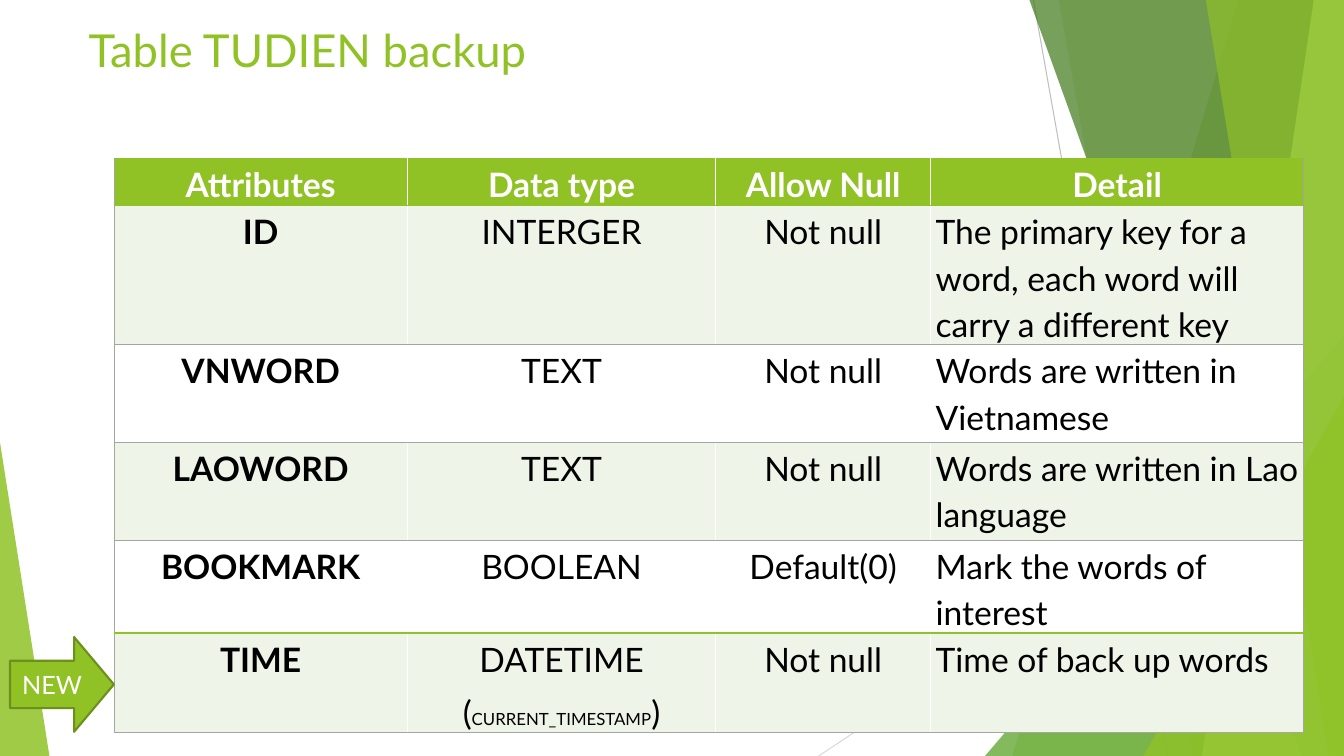
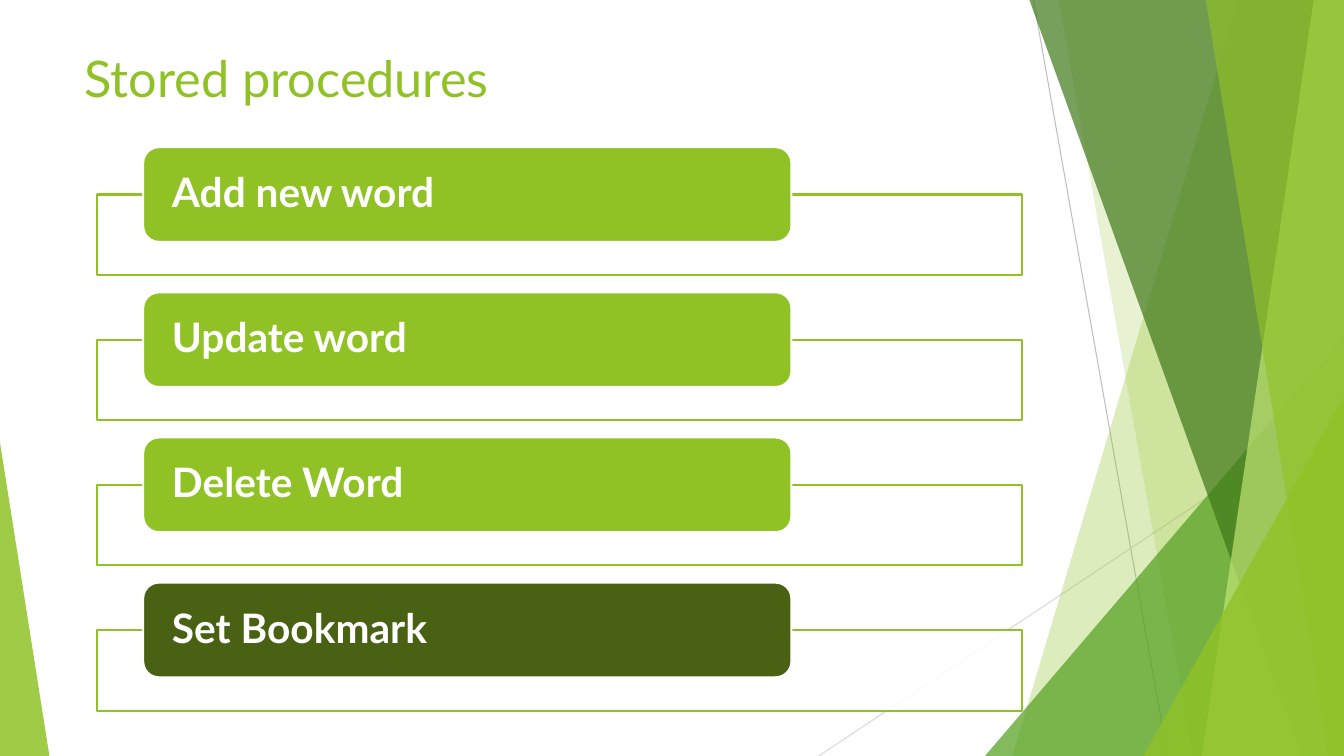
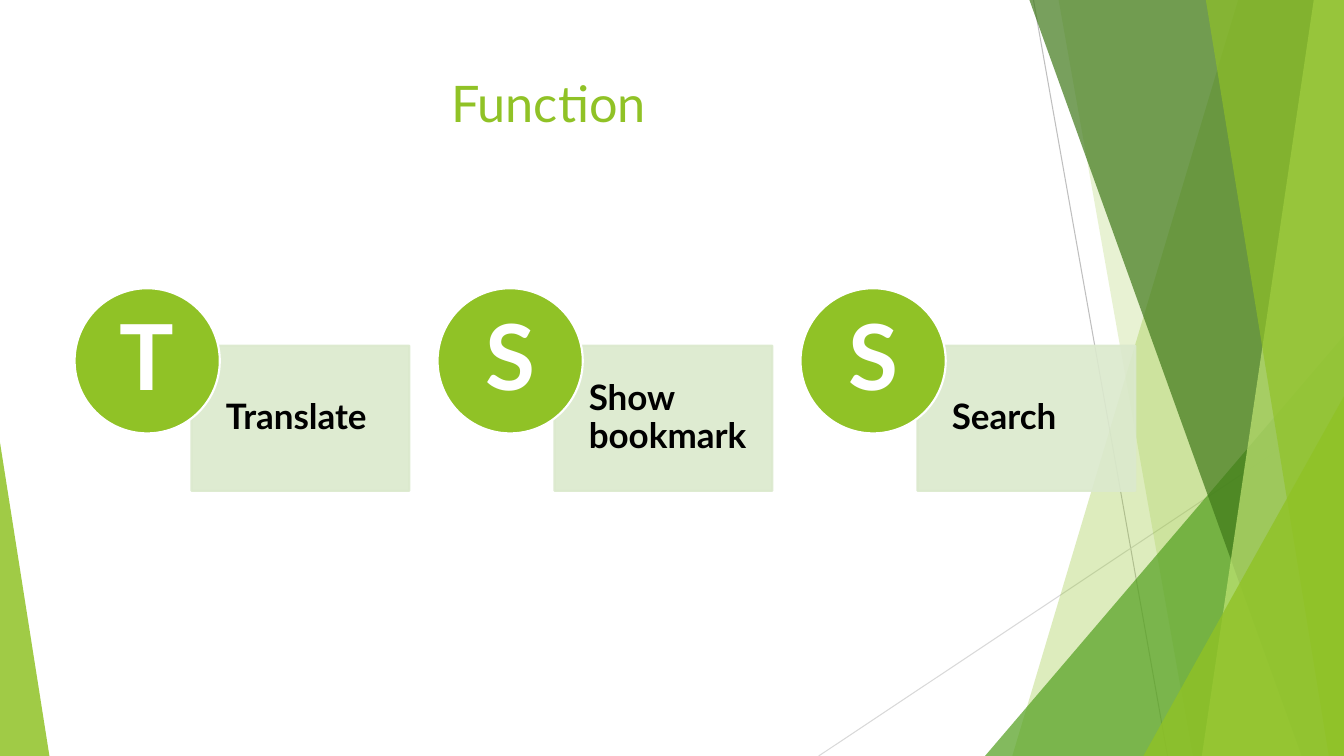
from lxml.etree import SubElement
from pptx import Presentation
from pptx.dml.color import RGBColor
from pptx.enum.shapes import MSO_CONNECTOR, MSO_SHAPE
from pptx.enum.text import MSO_ANCHOR, PP_ALIGN
from pptx.oxml.ns import qn
from pptx.util import Inches, Pt

FONT = "Lato"
GREEN, DARK_GREEN, OLIVE = "90C226", "6B901C", "486113"
WHITE, BLACK = "FFFFFF", "000000"
PALE_GREEN, ROW_TINT, ROW_RULE = "DBE9CD", "EEF4E8", "A3A89F"
WIDTH, HEIGHT = 13.33, 7.5

PANELS = [
    (12.28, 10.04, GREEN, 30),
    (10.5, 11.83, GREEN, 20),
    (10.21, 12.91, "3F7819", 70),
    (13.03, 11.92, "C0E474", 70),
    (11.96, 13.18, GREEN, 65),
]
ATTRIBUTES = [
    ("Attributes", "Data type", "Allow Null", "Detail"),
    ("ID", "INTERGER", "Not null",
     "The primary key for a word, each word will carry a different key"),
    ("VNWORD", "TEXT", "Not null", "Words are written in Vietnamese"),
    ("LAOWORD", "TEXT", "Not null", "Words are written in Lao language"),
    ("BOOKMARK", "BOOLEAN", "Default(0)", "Mark the words of interest"),
    ("TIME", "DATETIME", "Not null", "Time of back up words"),
]
COLUMN_WIDTHS = [2.91, 3.06, 2.13, 3.7]
ROW_HEIGHTS = [0.47, 1.37, 0.97, 0.97, 0.92, 0.98]
PROCEDURES = [("Add new word", GREEN), ("Update word", GREEN),
              ("Delete Word", GREEN), ("Set Bookmark", OLIVE)]
FUNCTIONS = ["Translate", "Show bookmark", "Search"]


def color(value):
    """Turn a hex string into a colour."""
    return RGBColor.from_string(value)


def set_opacity(shape, route, percent):
    """Make the colour found under the shape properties translucent."""
    if percent < 100:
        for node in shape.element.xpath(f"./p:spPr/{route}/a:srgbClr"):
            SubElement(node, qn("a:alpha"), val=str(percent * 1000))


def paint(shape, fill, opacity=100, line=None, line_opacity=100):
    """Give a shape its fill and outline, without a shadow."""
    shape.shadow.inherit = False
    shape.fill.solid()
    shape.fill.fore_color.rgb = color(fill)
    set_opacity(shape, "a:solidFill", opacity)
    if line is None:
        shape.line.fill.background()
        return
    shape.line.color.rgb = color(line)
    shape.line.width = Pt(1.5)
    set_opacity(shape, "a:ln/a:solidFill", line_opacity)


def add_preset(slide, kind, box, fill, **style):
    """Add a painted preset shape in a box of inches."""
    shape = slide.shapes.add_shape(kind, *map(Inches, box))
    paint(shape, fill, **style)
    return shape


def style_paragraph(paragraph, size, ink, bold=False, align=PP_ALIGN.LEFT, spacing=None):
    """Set the font and the alignment of a paragraph."""
    paragraph.alignment = align
    paragraph.line_spacing = spacing
    paragraph.font.name = FONT
    paragraph.font.size = Pt(size)
    paragraph.font.bold = bold
    paragraph.font.color.rgb = color(ink)


def write(shape, text, size, ink, insets=(0.1, 0.05, 0.1, 0.05),
          anchor=MSO_ANCHOR.MIDDLE, **style):
    """Write one wrapped paragraph into a shape."""
    frame = shape.text_frame
    frame.word_wrap = True
    frame.vertical_anchor = anchor
    (frame.margin_left, frame.margin_top,
     frame.margin_right, frame.margin_bottom) = map(Inches, insets)
    frame.text = text
    style_paragraph(frame.paragraphs[0], size, ink, **style)


def add_hairline(slide, start, end, ink):
    """Add a thin straight line between two points."""
    line = slide.shapes.add_connector(
        MSO_CONNECTOR.STRAIGHT, *map(Inches, (*start, *end)))
    line.line.color.rgb = color(ink)
    line.line.width = Pt(0.75)
    SubElement(line.element.spPr, qn("a:effectLst"))


def add_panel(slide, top_left, bottom_left, fill, opacity):
    """Add a full-height panel with a slanted left edge."""
    corners = [(top_left, 0), (WIDTH, 0), (WIDTH, HEIGHT), (bottom_left, HEIGHT)]
    points = [(Inches(x), Inches(y)) for x, y in corners]
    builder = slide.shapes.build_freeform(*points[0], scale=1.0)
    builder.add_line_segments(points[1:], close=True)
    paint(builder.convert_to_shape(), fill, opacity)


def add_wedge(slide, left, top, width, apex, fill, opacity):
    """Add a right triangle standing on the bottom edge."""
    box = (left, top, width, HEIGHT - top)
    wedge = add_preset(slide, MSO_SHAPE.ISOSCELES_TRIANGLE, box, fill, opacity=opacity)
    wedge.adjustments[0] = apex


def decorate_layout(layout, slide):
    """Draw the facets on an empty slide and move them to its layout."""
    for placeholder in list(layout.placeholders):
        layout.shapes.element.remove(placeholder.element)
    add_hairline(slide, (10.25, 0), (11.58, HEIGHT), "BFBFBF")
    add_hairline(slide, (WIDTH, 4.03), (8.12, HEIGHT), "D9D9D9")
    for panel in PANELS[:2]:
        add_panel(slide, *panel)
    add_wedge(slide, 9.77, 3.33, 3.56, 1, "54A021", 72)
    for panel in PANELS[2:]:
        add_panel(slide, *panel)
    add_wedge(slide, 11.34, 3.93, 1.99, 1, GREEN, 80)
    add_wedge(slide, 0, 4.39, 0.49, 0, GREEN, 85)
    for shape in list(slide.shapes):
        layout.shapes.element.append(shape.element)


def add_title(slide, text, box, size=36, align=PP_ALIGN.LEFT):
    """Add the green slide title."""
    title = slide.shapes.add_textbox(*map(Inches, box))
    write(title, text, size, GREEN, anchor=MSO_ANCHOR.TOP, align=align)


def set_border(cell, side, ink, width):
    """Draw one border of a cell, ahead of its fill."""
    properties = cell._tc.get_or_add_tcPr()
    border = SubElement(properties, qn(f"a:{side}"), w=str(Pt(width)))
    SubElement(SubElement(border, qn("a:solidFill")), qn("a:srgbClr"), val=ink)


def fill_cell(cell, text, row, column):
    """Fill, border and write one cell of the attribute table."""
    last_row, last_column = len(ATTRIBUTES) - 1, len(COLUMN_WIDTHS) - 1
    if column == 0:
        set_border(cell, "lnL", ROW_RULE, 0.5)
    if column == last_column:
        set_border(cell, "lnR", ROW_RULE, 0.5)
    top = (GREEN, 1) if row in (0, last_row) else (ROW_RULE, 0.5)
    bottom = (GREEN, 1) if row in (0, last_row - 1) else (ROW_RULE, 0.5)
    set_border(cell, "lnT", *top)
    set_border(cell, "lnB", *bottom)
    cell.fill.solid()
    cell.fill.fore_color.rgb = color(
        GREEN if row == 0 else ROW_TINT if row % 2 else WHITE)
    cell.margin_left = cell.margin_right = Inches(0.05)
    cell.margin_top = cell.margin_bottom = 0
    cell.text = text
    centered = row == 0 or column < last_column
    style_cell_paragraph(cell.text_frame.paragraphs[0],
                         WHITE if row == 0 else BLACK,
                         row == 0 or column == 0, centered)


def style_cell_paragraph(paragraph, ink, bold, centered):
    """Set the table text style on a paragraph."""
    align = PP_ALIGN.CENTER if centered else PP_ALIGN.LEFT
    style_paragraph(paragraph, 24, ink, bold, align, 1.15)
    paragraph.space_before = Pt(5)


def add_attribute_table(slide, left, top):
    """Add the table of attributes with its top left corner at a point."""
    box = (left, top, sum(COLUMN_WIDTHS), sum(ROW_HEIGHTS))
    table = slide.shapes.add_table(
        len(ATTRIBUTES), len(COLUMN_WIDTHS), *map(Inches, box)).table
    for column, width in zip(table.columns, COLUMN_WIDTHS):
        column.width = Inches(width)
    for row, height in zip(table.rows, ROW_HEIGHTS):
        row.height = Inches(height)
    for row, texts in enumerate(ATTRIBUTES):
        for column, text in enumerate(texts):
            fill_cell(table.cell(row, column), text, row, column)
    default_value = table.cell(len(ATTRIBUTES) - 1, 1).text_frame.add_paragraph()
    style_cell_paragraph(default_value, BLACK, False, True)
    for text, size in (("(", 24), ("CURRENT_TIMESTAMP", 12), (")", 24)):
        run = default_value.add_run()
        run.text = text
        run.font.size = Pt(size)


def add_new_arrow(slide, box):
    """Add the arrow that marks the new row."""
    arrow = add_preset(slide, MSO_SHAPE.RIGHT_ARROW, box, GREEN, line=DARK_GREEN)
    arrow.adjustments[1] = 0.42
    write(arrow, "NEW", 18, WHITE, align=PP_ALIGN.CENTER)


def add_procedure(slide, left, top, text, fill):
    """Add an outlined frame with a named tab over its top edge."""
    add_preset(slide, MSO_SHAPE.RECTANGLE, (left, top + 0.47, 9.18, 0.8),
               WHITE, opacity=90, line=GREEN)
    tab = add_preset(slide, MSO_SHAPE.ROUNDED_RECTANGLE,
                     (left + 0.46, top, 6.43, 0.94), fill, line=WHITE)
    write(tab, text, 29, WHITE, (0.24, 0, 0.24, 0), bold=True, spacing=0.9)


def add_function_card(slide, left, top, text):
    """Add a pale card with its initial in a circle at the corner."""
    card = add_preset(slide, MSO_SHAPE.RECTANGLE,
                      (left + 1.16, top + 0.57, 2.16, 1.44), PALE_GREEN,
                      opacity=90, line=PALE_GREEN, line_opacity=90)
    write(card, text, 25, BLACK, (0.34, 0.19, 0.19, 0.19), bold=True, spacing=0.9)
    circle = add_preset(slide, MSO_SHAPE.OVAL, (left, top, 1.44, 1.44),
                        GREEN, line=WHITE)
    write(circle, text[0], 65, WHITE, (0, 0, 0, 0), bold=True,
          align=PP_ALIGN.CENTER, spacing=0.9)


def fill_table_slide(slide):
    """Fill the slide on the backup table."""
    add_title(slide, "Table TUDIEN backup", (0.78, 0.17, 9.4, 0.75), 32.4)
    add_attribute_table(slide, 1.13, 1.57)
    add_new_arrow(slide, (0.1, 6.32, 1.03, 0.94))


def fill_procedures_slide(slide):
    """Fill the slide on stored procedures."""
    add_title(slide, "Stored procedures", (0.74, 0.42, 9.4, 0.85))
    for index, (text, fill) in enumerate(PROCEDURES):
        add_procedure(slide, 0.96, 1.46 + 1.44 * index, text, fill)


def fill_functions_slide(slide):
    """Fill the slide on functions."""
    add_title(slide, "Function", (0.74, 0.67, 9.4, 1.44), align=PP_ALIGN.CENTER)
    for index, text in enumerate(FUNCTIONS):
        add_function_card(slide, 0.74 + 3.6 * index, 2.86, text)


def main():
    """Build and save the presentation."""
    presentation = Presentation()
    presentation.slide_width = Inches(WIDTH)
    presentation.slide_height = Inches(HEIGHT)
    layout = presentation.slide_layouts[6]
    fillers = [fill_table_slide, fill_procedures_slide, fill_functions_slide]
    slides = [presentation.slides.add_slide(layout) for _ in fillers]
    decorate_layout(layout, slides[0])
    for fill_slide, slide in zip(fillers, slides):
        fill_slide(slide)
    presentation.save("out.pptx")


if __name__ == "__main__":
    main()
